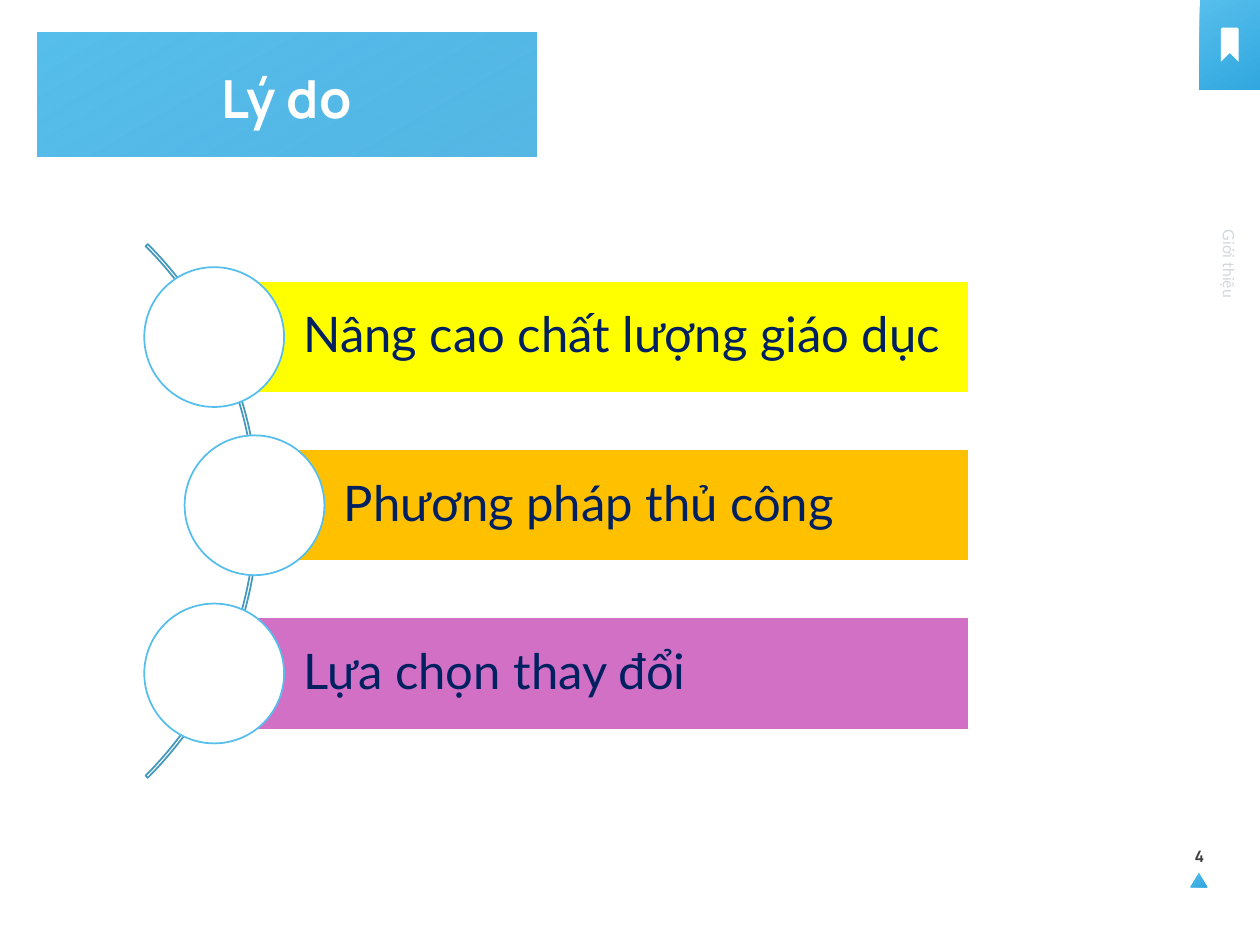
from pptx import Presentation
from pptx.dml.color import RGBColor
from pptx.enum.shapes import MSO_SHAPE
from pptx.enum.text import MSO_ANCHOR, MSO_AUTO_SIZE, PP_ALIGN
from pptx.oxml.ns import qn
from pptx.util import Inches, Pt
from lxml import etree

RECT, OVAL = MSO_SHAPE.RECTANGLE, MSO_SHAPE.OVAL
ARC, PEAK = MSO_SHAPE.BLOCK_ARC, MSO_SHAPE.ISOSCELES_TRIANGLE
MIDDLE = MSO_ANCHOR.MIDDLE
LEFT, CENTER = PP_ALIGN.LEFT, PP_ALIGN.CENTER
FIXED, GROW = MSO_AUTO_SIZE.NONE, MSO_AUTO_SIZE.SHAPE_TO_FIT_TEXT

COLORS = {
    "sky": "56BEEC", "blue": "31A8DF", "arc": "4598BD", "white": "FFFFFF",
    "yellow": "FFFF00", "orange": "FFC000", "orchid": "D270C6",
    "navy": "002060", "dark": "3F3F3F", "pale": "D2D9DD",
}
RGB = {name: RGBColor.from_string(code) for name, code in COLORS.items()}

prs = Presentation()
prs.slide_width, prs.slide_height = Inches(10), Inches(7.5)
slide = prs.slides.add_slide(prs.slide_layouts[5])
shapes = slide.shapes


def add_form(kind, box, fill=None, line=None):
    """Add a flat shape; the fill "fade" is the blue gradient."""
    form = shapes.add_shape(kind, *map(Inches, box))
    form.shadow.inherit = False
    if fill == "fade":
        form.fill.gradient()
        form.fill.gradient_angle = 300
        for stop, name in zip(form.fill.gradient_stops, ("sky", "blue")):
            stop.color.rgb = RGB[name]
    elif fill:
        form.fill.solid()
        form.fill.fore_color.rgb = RGB[fill]
    else:
        form.fill.background()
    if line:
        form.line.color.rgb = RGB[line]
        form.line.width = Pt(1)
    else:
        form.line.fill.background()
    return form


def set_text(shape, text, size, font, color, align=CENTER, bold=False):
    para = shape.text_frame.paragraphs[0]
    para.text = text
    para.alignment = align
    face = para.runs[0].font
    face.size, face.name, face.bold = Pt(size), font, bold
    face.color.rgb = RGB[color]
    return para


# Title on its banner
title = shapes.title
title.left, title.top, title.width, title.height = map(
    Inches, (-0.22, 0.12, 4.99, 1.31))
title.text_frame.auto_size = FIXED
title.text_frame.vertical_anchor = MIDDLE
para = set_text(title, "Lý do", 30, "Manrope", "white", bold=True)
para.space_before = Pt(10)
banner = add_form(RECT, (0.3, 0.26, 3.96, 0.98), "fade")
last = banner._element.findall(".//" + qn("a:srgbClr"))[-1]
etree.SubElement(last, qn("a:alpha")).set("val", "82000")
title._element.addprevious(banner._element)

# Page mark and corner tab
add_form(PEAK, (9.45, 6.93, 0.13, 0.11), "fade")
add_form(RECT, (9.52, 0, 0.48, 0.71), "fade")

# Page number and section name
labels = [
    ("4", (9.32, 6.67, 0.4, 0.25), "Manrope", "dark", True, 0),
    ("Giới thiệu", (8.49, 1.97, 2.53, 0.25), "Lato", "pale", False, 90),
]
for text, box, font, color, bold, turn in labels:
    label = shapes.add_textbox(*map(Inches, box))
    label.rotation = turn
    label.text_frame.word_wrap = True
    label.text_frame.auto_size = GROW
    set_text(label, text, 9, font, color, bold=bold)

# Bookmark, drawn in hundredths of an inch
pen = shapes.build_freeform(983, 49, scale=Inches(0.01))
pen.add_line_segments([(983, 23), (982, 22), (970, 22), (969, 23),
                       (969, 49), (976, 42)], close=True)
mark = pen.convert_to_shape()
mark.shadow.inherit = False
mark.fill.solid()
mark.fill.fore_color.rgb = RGB["white"]
mark.line.fill.background()

# Curved list: arc, then bars with circles
arc = add_form(ARC, (-3.94, 1.06, 5.99, 5.99), line="arc")
for i, value in enumerate((189, 27, 0.004)):
    arc.adjustments[i] = value

reasons = [
    ("Nâng cao chất lượng giáo dục", "yellow", 1.7),
    ("Phương pháp thủ công", "orange", 2.02),
    ("Lựa chọn thay đổi", "orchid", 1.7),
]
RIGHT, HIGH, DISC, STEP = 7.69, 0.89, 1.11, 1.335
for i, (text, color, left) in enumerate(reasons):
    top = 2.23 + i * STEP
    bar = add_form(RECT, (left, top, RIGHT - left, HIGH), color, "white")
    frame = bar.text_frame
    frame.word_wrap = True
    frame.vertical_anchor = MIDDLE
    frame.margin_left = Inches(0.71)
    frame.margin_right = frame.margin_top = frame.margin_bottom = Inches(0.08)
    para = set_text(bar, text, 28, "Lato", "navy", LEFT)
    para.line_spacing = 0.9
    add_form(OVAL, (left - DISC / 2, top + (HIGH - DISC) / 2, DISC, DISC),
             "white", "sky")

prs.save("out.pptx")
